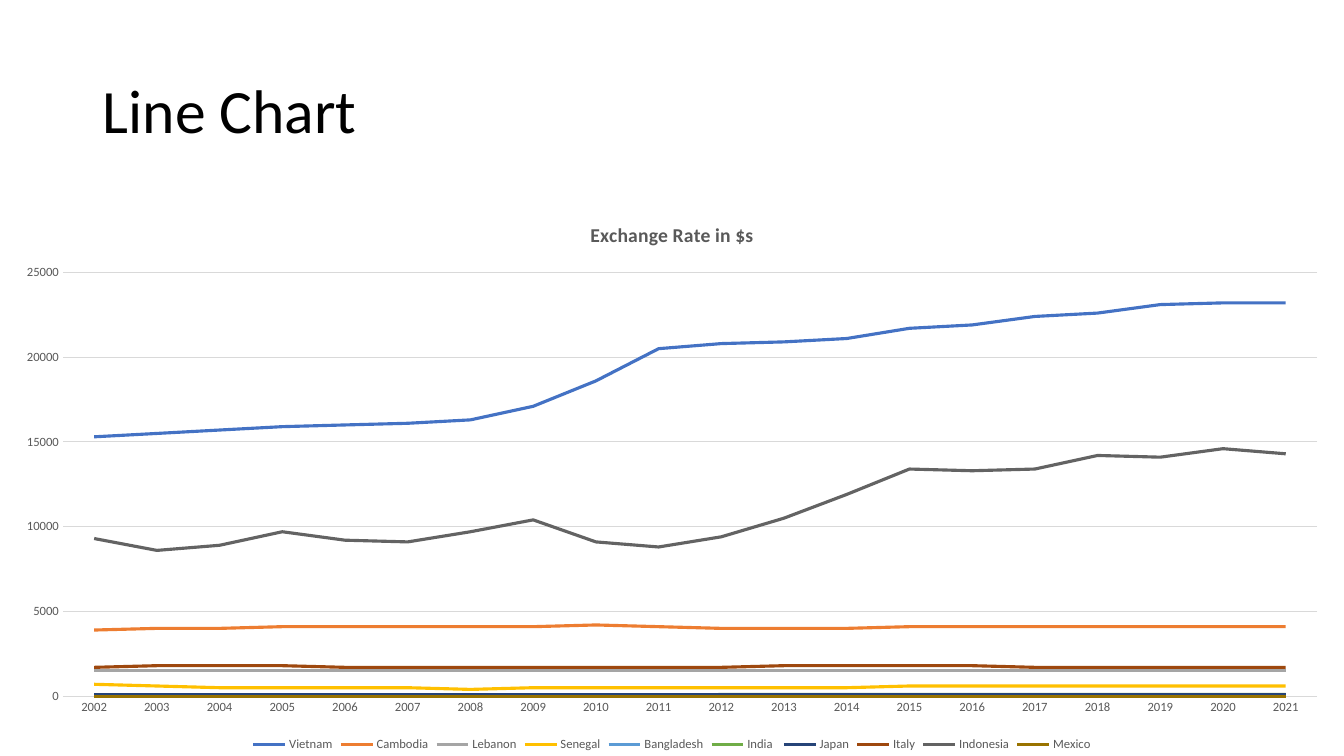
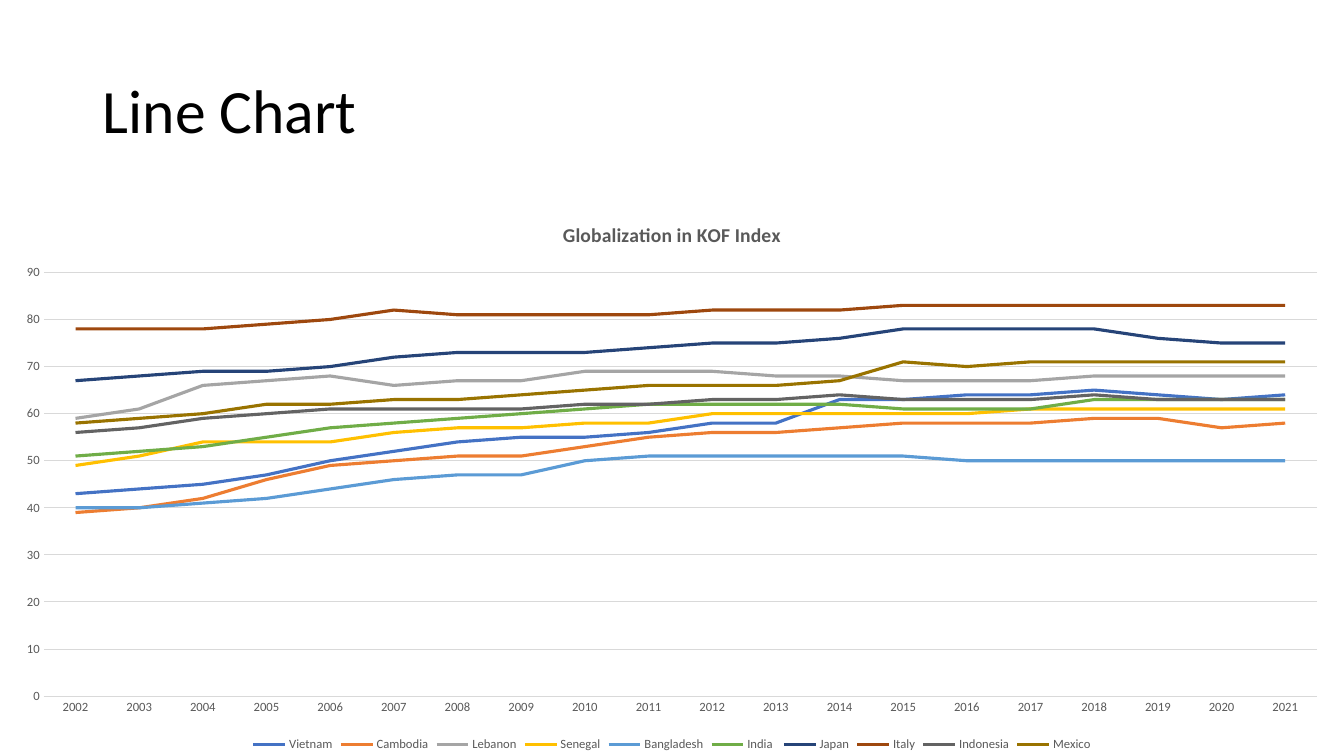
from pptx import Presentation
from pptx.chart.data import CategoryChartData
from pptx.dml.color import RGBColor
from pptx.enum.chart import XL_CHART_TYPE, XL_LEGEND_POSITION, XL_TICK_MARK
from pptx.enum.text import MSO_ANCHOR, PP_ALIGN
from pptx.util import Inches, Pt

FONT = "Calibri"
BLACK = RGBColor(0x00, 0x00, 0x00)
TEXT_GRAY = RGBColor(0x59, 0x59, 0x59)
GRID_GRAY = RGBColor(0xD9, 0xD9, 0xD9)

TITLE_FONT = {"name": FONT, "size": Pt(44), "bold": False}
CHART_TITLE_FONT = {"name": FONT, "size": Pt(14), "bold": True}
LABEL_FONT = {"name": FONT, "size": Pt(9), "bold": False}
TITLE_BOX = {"left": Inches(0.92), "top": Inches(0.4), "width": Inches(11.5), "height": Inches(1.45)}
CHART_BOX = (Inches(0), Inches(2), Inches(13.33), Inches(5.5))

YEARS = [str(year) for year in range(2002, 2022)]
COUNTRY_COLORS = {
    "Vietnam": RGBColor(0x44, 0x72, 0xC4),
    "Cambodia": RGBColor(0xED, 0x7D, 0x31),
    "Lebanon": RGBColor(0xA5, 0xA5, 0xA5),
    "Senegal": RGBColor(0xFF, 0xC0, 0x00),
    "Bangladesh": RGBColor(0x5B, 0x9B, 0xD5),
    "India ": RGBColor(0x70, 0xAD, 0x47),
    "Japan": RGBColor(0x26, 0x44, 0x78),
    "Italy": RGBColor(0x9E, 0x48, 0x0E),
    "Indonesia": RGBColor(0x63, 0x63, 0x63),
    "Mexico": RGBColor(0x99, 0x73, 0x00),
}

EXCHANGE_RATES = [
    [15300, 15500, 15700, 15900, 16000, 16100, 16300, 17100, 18600, 20500,
     20800, 20900, 21100, 21700, 21900, 22400, 22600, 23100, 23200, 23200],
    [3900, 4000, 4000, 4100, 4100, 4100, 4100, 4100, 4200, 4100,
     4000, 4000, 4000, 4100, 4100, 4100, 4100, 4100, 4100, 4100],
    [1500] * 20,
    [700, 600, 500, 500, 500, 500, 400, 500, 500, 500,
     500, 500, 500, 600, 600, 600, 600, 600, 600, 600],
    [100] * 20,
    [0] * 10 + [100] * 10,
    [100] * 20,
    [1700, 1800, 1800, 1800, 1700, 1700, 1700, 1700, 1700, 1700,
     1700, 1800, 1800, 1800, 1800, 1700, 1700, 1700, 1700, 1700],
    [9300, 8600, 8900, 9700, 9200, 9100, 9700, 10400, 9100, 8800,
     9400, 10500, 11900, 13400, 13300, 13400, 14200, 14100, 14600, 14300],
    [0] * 20,
]
KOF_INDEX = [
    [43, 44, 45, 47, 50, 52, 54, 55, 55, 56, 58, 58, 63, 63, 64, 64, 65, 64, 63, 64],
    [39, 40, 42, 46, 49, 50, 51, 51, 53, 55, 56, 56, 57, 58, 58, 58, 59, 59, 57, 58],
    [59, 61, 66, 67, 68, 66, 67, 67, 69, 69, 69, 68, 68, 67, 67, 67, 68, 68, 68, 68],
    [49, 51, 54, 54, 54, 56, 57, 57, 58, 58, 60, 60, 60, 60, 60, 61, 61, 61, 61, 61],
    [40, 40, 41, 42, 44, 46, 47, 47, 50, 51, 51, 51, 51, 51, 50, 50, 50, 50, 50, 50],
    [51, 52, 53, 55, 57, 58, 59, 60, 61, 62, 62, 62, 62, 61, 61, 61, 63, 63, 63, 63],
    [67, 68, 69, 69, 70, 72, 73, 73, 73, 74, 75, 75, 76, 78, 78, 78, 78, 76, 75, 75],
    [78, 78, 78, 79, 80, 82, 81, 81, 81, 81, 82, 82, 82, 83, 83, 83, 83, 83, 83, 83],
    [56, 57, 59, 60, 61, 61, 61, 61, 62, 62, 63, 63, 64, 63, 63, 63, 64, 63, 63, 63],
    [58, 59, 60, 62, 62, 63, 63, 64, 65, 66, 66, 66, 67, 71, 70, 71, 71, 71, 71, 71],
]
SLIDES = [
    {"title": "Line Chart", "chart_title": "Exchange Rate in $s", "values": EXCHANGE_RATES,
     "maximum": 25000, "step": 5000},
    {"title": "Line Chart", "chart_title": "Globalization in KOF Index", "values": KOF_INDEX,
     "maximum": 90, "step": 10},
]


def apply(target, values):
    for key, value in values.items():
        setattr(target, key, value)


def style_font(font, values, color):
    apply(font, values)
    font.color.rgb = color


def style_line(line, color, width):
    line.color.rgb = color
    line.width = Pt(width)


def write_title(title, text):
    apply(title, TITLE_BOX)
    title.text_frame.text = text
    apply(title.text_frame, {"vertical_anchor": MSO_ANCHOR.MIDDLE, "word_wrap": True})
    heading = title.text_frame.paragraphs[0]
    apply(heading, {"alignment": PP_ALIGN.LEFT, "line_spacing": 0.9})
    style_font(heading.runs[0].font, TITLE_FONT, BLACK)


def style_axes(chart, maximum, step):
    for axis in (chart.category_axis, chart.value_axis):
        apply(axis, {"major_tick_mark": XL_TICK_MARK.NONE, "minor_tick_mark": XL_TICK_MARK.NONE})
        style_font(axis.tick_labels.font, LABEL_FONT, TEXT_GRAY)
    style_line(chart.category_axis.format.line, GRID_GRAY, 0.75)
    chart.value_axis.format.line.fill.background()
    style_line(chart.value_axis.major_gridlines.format.line, GRID_GRAY, 0.75)
    apply(chart.value_axis, {"minimum_scale": 0, "maximum_scale": maximum, "major_unit": step})


def add_line_chart(slide, content):
    chart_data = CategoryChartData()
    chart_data.categories = YEARS
    for country, values in zip(COUNTRY_COLORS, content["values"]):
        chart_data.add_series(country, values)
    chart = slide.shapes.add_chart(XL_CHART_TYPE.LINE, *CHART_BOX, chart_data).chart
    style_font(chart.font, {"name": FONT, "size": Pt(10)}, BLACK)

    chart.has_title = True
    caption = chart.chart_title.text_frame
    caption.text = content["chart_title"]
    style_font(caption.paragraphs[0].runs[0].font, CHART_TITLE_FONT, TEXT_GRAY)
    chart.chart_title.include_in_layout = False

    chart.has_legend = True
    apply(chart.legend, {"position": XL_LEGEND_POSITION.BOTTOM, "include_in_layout": False})
    style_font(chart.legend.font, LABEL_FONT, TEXT_GRAY)

    style_axes(chart, content["maximum"], content["step"])
    chart.plots[0].vary_by_categories = False
    for series, color in zip(chart.plots[0].series, COUNTRY_COLORS.values()):
        series.smooth = False
        style_line(series.format.line, color, 2.25)


def main():
    deck = Presentation()
    apply(deck, {"slide_width": Inches(13.33), "slide_height": Inches(7.5)})
    for content in SLIDES:
        slide = deck.slides.add_slide(deck.slide_layouts[5])
        write_title(slide.shapes.title, content["title"])
        add_line_chart(slide, content)
    deck.save("out.pptx")


if __name__ == "__main__":
    main()
